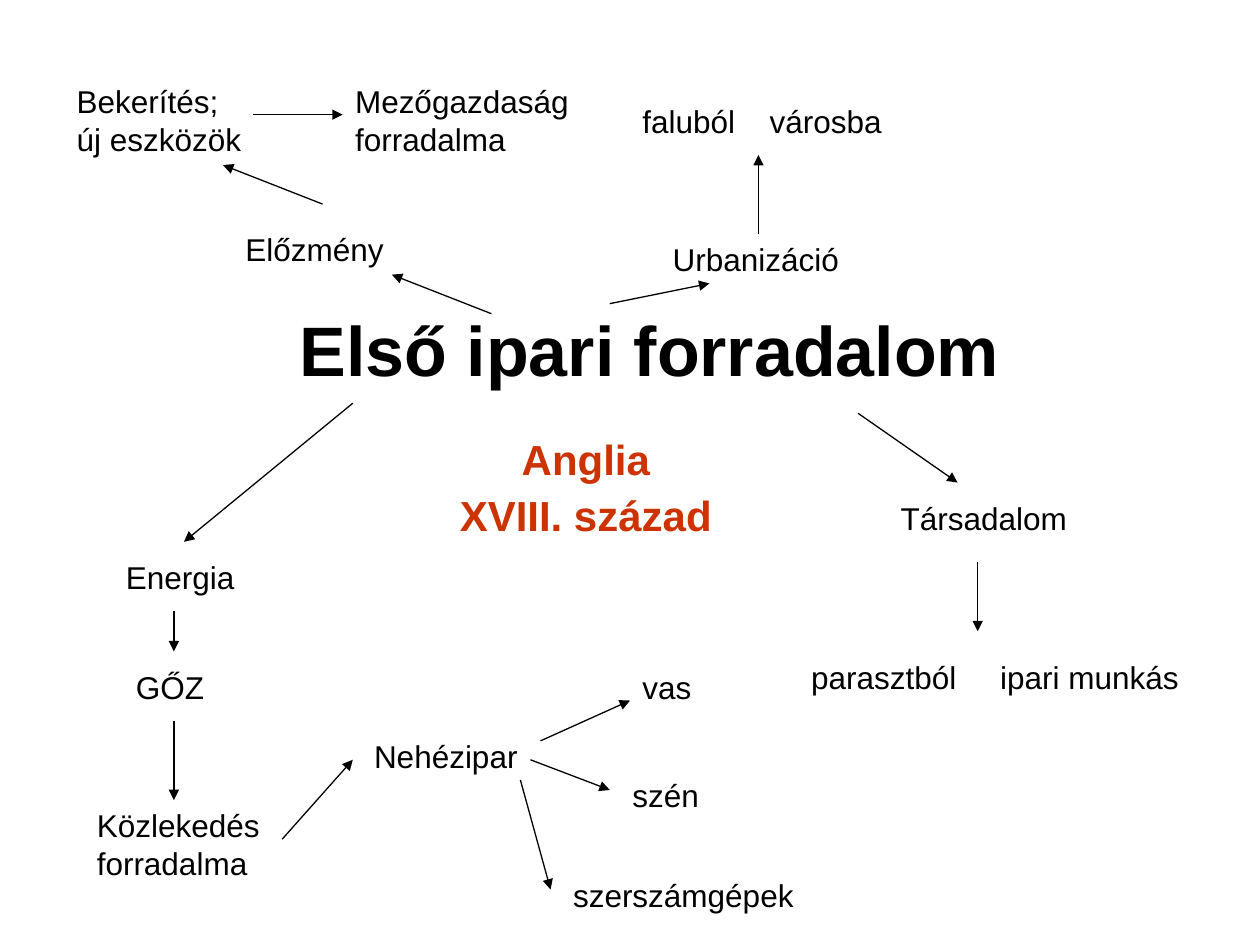
from dataclasses import dataclass

from lxml.etree import SubElement
from pptx import Presentation
from pptx.dml.color import RGBColor
from pptx.enum.shapes import MSO_CONNECTOR as Connector
from pptx.enum.text import MSO_ANCHOR as Anchor, MSO_AUTO_SIZE as AutoSize, PP_ALIGN as Align
from pptx.oxml.ns import qn
from pptx.util import Inches, Pt

COLUMNS, ROWS = 100, 75
LINE_ROWS = {1: 4, 2: 7}


@dataclass(frozen=True)
class Theme:
    font: str = "Arial"
    ink: RGBColor = RGBColor(0x00, 0x00, 0x00)
    accent: RGBColor = RGBColor(0xCC, 0x33, 0x00)
    title_size: int = 40
    subtitle_size: int = 24
    label_size: int = 18
    arrow_width: float = 0.75


class MindMap:
    def __init__(self, deck, theme):
        self.theme = theme
        self.column = deck.slide_width / COLUMNS
        self.row = deck.slide_height / ROWS
        self.slide = deck.slides.add_slide(deck.slide_layouts[5])

    def across(self, columns):
        return round(columns * self.column)

    def down(self, rows):
        return round(rows * self.row)

    def place(self, left, top, width, height):
        return self.across(left), self.down(top), self.across(width), self.down(height)

    def add_span(self, para, text, size, color, bold=False):
        span = para.add_run()
        span.text = text
        font = span.font
        font.name, font.size, font.bold = self.theme.font, Pt(size), bold
        font.color.rgb = color

    def text_box(self, *area):
        box = self.slide.shapes.add_textbox(*self.place(*area))
        box.text_frame.word_wrap = True
        return box.text_frame

    def title(self, text, *area):
        holder = self.slide.shapes.title
        holder.left, holder.top, holder.width, holder.height = self.place(*area)
        frame = holder.text_frame
        frame.auto_size = AutoSize.NONE
        frame.vertical_anchor = Anchor.MIDDLE
        para = frame.paragraphs[0]
        para.alignment = Align.CENTER
        self.add_span(para, text, self.theme.title_size, self.theme.ink, True)

    def subtitle(self, lines, *area):
        frame = self.text_box(*area)
        for index, line in enumerate(lines):
            para = frame.add_paragraph() if index else frame.paragraphs[0]
            para.alignment = Align.CENTER
            para.line_spacing = 0.9
            para.space_before = Pt(6 if index else 0)
            self.add_span(para, line, self.theme.subtitle_size, self.theme.accent, True)

    def label(self, text, left, top, width, lines=1, tab=None):
        frame = self.text_box(left, top, width, LINE_ROWS[lines])
        frame.auto_size = AutoSize.SHAPE_TO_FIT_TEXT
        para = frame.paragraphs[0]
        if tab:
            stops = SubElement(para._p.get_or_add_pPr(), qn("a:tabLst"))
            SubElement(stops, qn("a:tab"), pos=str(self.across(tab)), algn="l")
        self.add_span(para, text, self.theme.label_size, self.theme.ink)

    def arrow(self, start, end):
        (x1, y1), (x2, y2) = start, end
        line = self.slide.shapes.add_connector(
            Connector.STRAIGHT, self.across(x1), self.down(y1), self.across(x2), self.down(y2))
        line.line.color.rgb = self.theme.ink
        line.line.width = Pt(self.theme.arrow_width)
        SubElement(line.line._get_or_add_ln(), qn("a:tailEnd"), type="triangle")
        SubElement(line._element.spPr, qn("a:effectLst"))


LABELS = [
    ("Előzmény", 18.5, 17.8, 13.4),
    ("Mezőgazdaság forradalma", 27.2, 6, 19.7, 2),
    ("Bekerítés; új eszközök", 5.1, 6, 15.7, 2),
    ("faluból\tvárosba", 50, 7.6, 22, 1, 10.1),
    ("Urbanizáció", 52.4, 18.6, 15.7),
    ("Társadalom", 70.5, 39.1, 15.8),
    ("parasztból\tipari munkás", 63.4, 51.7, 32.3, 1, 15),
    ("Energia", 9, 43.8, 11.8),
    ("GŐZ", 9.8, 52.5, 7.9),
    ("Közlekedés forradalma", 6.7, 63.5, 15.7, 2),
    ("Nehézipar", 28.7, 58, 14.9),
    ("vas", 50, 52.5, 6.3),
    ("szén", 49.2, 61.1, 7.9),
    ("szerszámgépek", 44.5, 69, 19.7),
]

ARROWS = [
    ((20.1, 9.1), (27.2, 9.1)),
    ((25.6, 16.2), (17.7, 13.1)),
    ((60.2, 18.6), (60.2, 12.3)),
    ((77.6, 44.6), (77.6, 50.1)),
    ((13.8, 48.5), (13.8, 51.7)),
    ((13.8, 57.2), (13.8, 63.5)),
    ((22.4, 66.6), (28, 60.3)),
    ((42.9, 58.8), (50, 55.6)),
    ((42.1, 60.3), (48.4, 62.7)),
    ((41.3, 61.9), (43.7, 70.6)),
    ((68.1, 32.8), (76, 38.3)),
    ((39, 24.9), (31.1, 21.8)),
    ((48.4, 24.1), (56.3, 22.5)),
    ((28, 32), (14.6, 43)),
]


def main():
    deck = Presentation()
    deck.slide_width, deck.slide_height = Inches(10), Inches(7.5)
    mind_map = MindMap(deck, Theme())
    mind_map.title("Első ipari forradalom", 22.4, 23.3, 58.3, 8.7)
    mind_map.subtitle(["Anglia", "XVIII. század"], 34.3, 34.4, 24.4, 9.2)
    for label in LABELS:
        mind_map.label(*label)
    for start, end in ARROWS:
        mind_map.arrow(start, end)
    deck.save("out.pptx")


if __name__ == "__main__":
    main()
